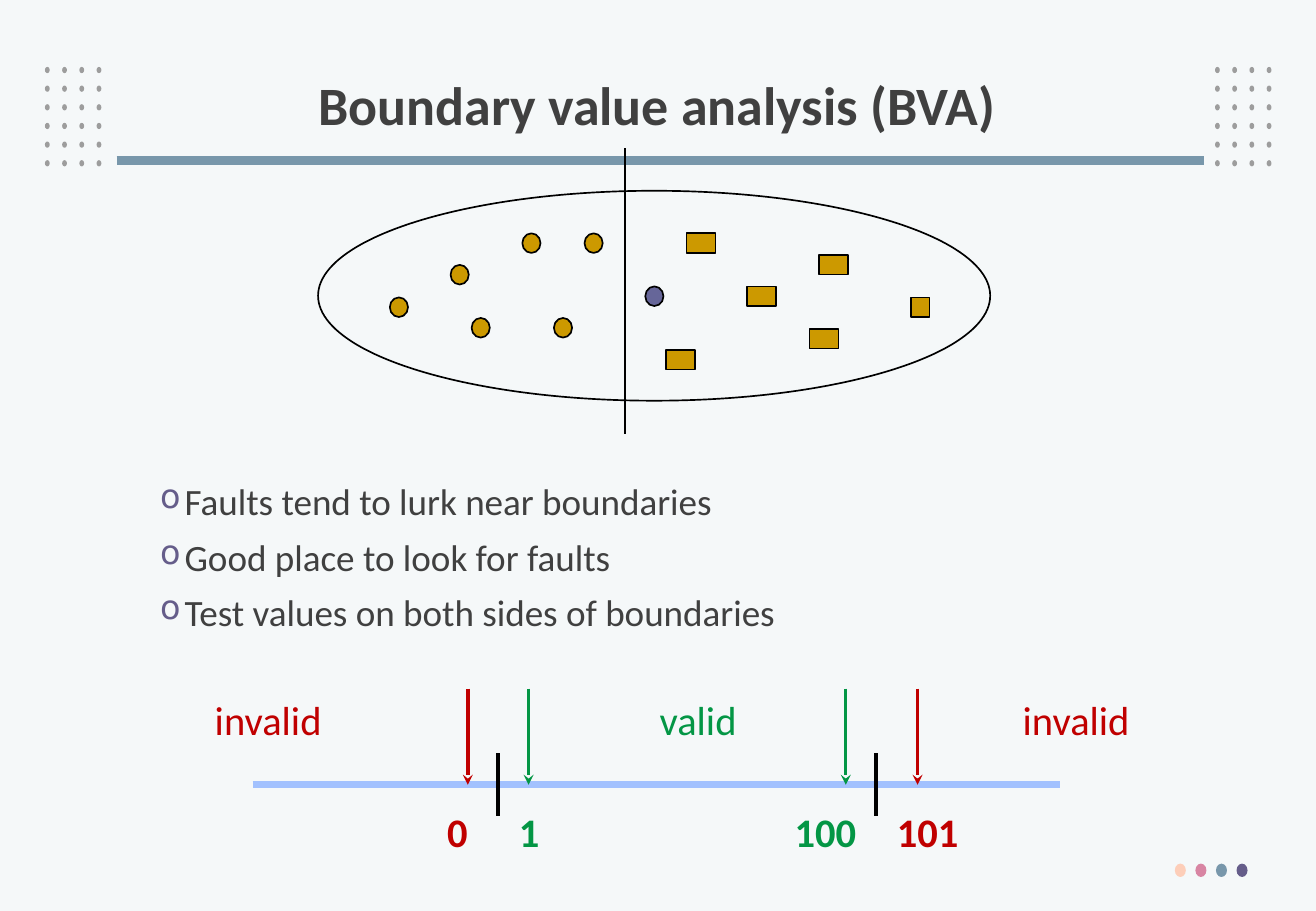
from pptx import Presentation
from pptx.dml.color import RGBColor
from pptx.enum.shapes import MSO_CONNECTOR, MSO_SHAPE
from pptx.enum.text import MSO_ANCHOR, MSO_AUTO_SIZE, PP_ALIGN
from pptx.oxml.ns import qn
from pptx.util import Cm, Pt
from lxml.etree import SubElement

COLORS = {
    "paper": "F5F8F9", "text": "404040", "black": "000000", "dot": "9D9D9D",
    "peach": "FDCEB9", "pink": "D885A3", "steel": "7897AB", "plum": "655D8A",
    "gold": "CC9900", "violet": "666699", "axis": "A2C1FE",
    "green": "039645", "red": "C00000",
}


def color(name):
    return RGBColor.from_string(COLORS[name])


class Board:
    """Holds the font and the slide being drawn; all lengths are in cm."""

    def __init__(self, slide, font="Calibri"):
        self.slide = slide
        self.font = font
        fill = slide.background.fill
        fill.solid()
        fill.fore_color.rgb = color("paper")

    def style(self, para, size, tint, bold=False):
        para.font.name = self.font
        para.font.size = Pt(size)
        para.font.bold = bold
        para.font.color.rgb = color(tint)

    def title(self, text, left, top, width, height):
        shape = self.slide.shapes.title
        shape.left, shape.top = Cm(left), Cm(top)
        shape.width, shape.height = Cm(width), Cm(height)
        frame = shape.text_frame
        frame.text = text
        frame.auto_size = MSO_AUTO_SIZE.NONE
        frame.vertical_anchor = MSO_ANCHOR.MIDDLE
        para = frame.paragraphs[0]
        para.alignment = PP_ALIGN.CENTER
        para.line_spacing = 0.9
        self.style(para, 32, "text", True)

    def shape(self, kind, left, top, width, height, fill=None, line=None):
        shape = self.slide.shapes.add_shape(
            kind, Cm(left), Cm(top), Cm(width), Cm(height))
        shape.shadow.inherit = False
        if fill:
            shape.fill.solid()
            shape.fill.fore_color.rgb = color(fill)
        else:
            shape.fill.background()
        if line:
            shape.line.color.rgb = color(line)
            shape.line.width = Pt(1)
        else:
            shape.line.fill.background()

    def line(self, x1, y1, x2, y2, tint, width, arrow=False):
        line = self.slide.shapes.add_connector(
            MSO_CONNECTOR.STRAIGHT, Cm(x1), Cm(y1), Cm(x2), Cm(y2))
        line.line.color.rgb = color(tint)
        line.line.width = Pt(width)
        if arrow:
            SubElement(line.line._get_or_add_ln(), qn("a:tailEnd"), type="stealth")
        SubElement(line._element.spPr, qn("a:effectLst"))

    def label(self, text, left, top, width, height, tint, bold=False):
        frame = self.slide.shapes.add_textbox(
            Cm(left), Cm(top), Cm(width), Cm(height)).text_frame
        frame.word_wrap = False
        frame.text = text
        para = frame.paragraphs[0]
        self.style(para, 24, tint, bold)
        if bold:
            frame.margin_left = frame.margin_right = Cm(0.18)
            frame.margin_top = frame.margin_bottom = Cm(0.08)
            para.line_spacing = 0.9

    def bullets(self, items, left, top, width, height):
        frame = self.slide.shapes.add_textbox(
            Cm(left), Cm(top), Cm(width), Cm(height)).text_frame
        frame.word_wrap = True
        frame.text = "\n".join(items)
        for para in frame.paragraphs:
            self.style(para, 22, "text")
            para.line_spacing = 1.1
            para.space_before = Pt(4.1)
            props = para._p.get_or_add_pPr()
            props.set("marL", str(Cm(1.55)))
            props.set("indent", str(Cm(-0.51)))
            tint = SubElement(props, qn("a:buClr"))
            SubElement(tint, qn("a:srgbClr"), val=COLORS["plum"])
            SubElement(props, qn("a:buSzPct"), val="90000")
            SubElement(props, qn("a:buChar"), char="o")
            # The schema wants run defaults after the bullet settings.
            props.append(props.find(qn("a:defRPr")))


def add_frame(board):
    """Draw the corner dots, the title rule and the footer dots."""
    for left in (0.94, 25.4):
        for row in range(6):
            for col in range(4):
                board.shape(MSO_SHAPE.OVAL, left + col * 0.36,
                            1.4 + row * 0.39, 0.1, 0.13, "dot")
    board.line(2.44, 3.35, 25.17, 3.35, "steel", 5.25)
    for i, tint in enumerate(("peach", "pink", "steel", "plum")):
        board.shape(MSO_SHAPE.OVAL, 24.56 + i * 0.43, 18.06, 0.23, 0.28, tint)


def add_domain(board):
    """Draw the input domain, split in two by a boundary."""
    board.shape(MSO_SHAPE.OVAL, 6.65, 3.99, 14.05, 4.39, line="black")
    rounds = [(10.92, 4.88), (8.15, 6.22), (12.22, 4.88), (9.86, 6.65),
              (9.42, 5.54), (11.58, 6.65)]
    for x, y in rounds:
        board.shape(MSO_SHAPE.OVAL, x, y, 0.38, 0.41, "gold", "black")
    board.shape(MSO_SHAPE.OVAL, 13.49, 5.99, 0.38, 0.41, "violet", "black")
    board.line(13.06, 3.1, 13.06, 9.07, "black", 1)
    boxes = [(19.05, 6.22, 0.38), (14.35, 4.88, 0.61), (15.62, 5.99, 0.61),
             (13.92, 7.32, 0.61), (16.92, 6.88, 0.61), (17.12, 5.33, 0.61)]
    for x, y, width in boxes:
        board.shape(MSO_SHAPE.RECTANGLE, x, y, width, 0.41, "gold", "black")


def add_scale(board):
    """Draw the number line with its limits and test values."""
    axis = 16.41
    board.line(5.28, axis, 22.15, axis, "axis", 4)
    for x in (10.41, 18.31):
        board.line(x, axis - 0.66, x, axis + 0.66, "black", 2)
    values = [("0", 9.17, 0.79, 9.78, "red"), ("1", 10.67, 0.79, 11.05, "green"),
              ("100", 16.43, 1.65, 17.68, "green"),
              ("101", 18.57, 1.65, 19.18, "red")]
    for text, left, width, x, tint in values:
        board.label(text, left, 16.92, width, 1.07, tint, True)
        board.line(x, 14.4, x, axis, tint, 2, True)
    zones = [("invalid", 4.24, 2.79, "red"), ("valid", 13.54, 2.16, "green"),
             ("invalid", 21.13, 2.79, "red")]
    for text, left, width, tint in zones:
        board.label(text, left, 14.4, width, 1.3, tint)


def main():
    deck = Presentation()
    deck.slide_width, deck.slide_height = Cm(27.51), Cm(19.05)
    board = Board(deck.slides.add_slide(deck.slide_layouts[5]))
    add_frame(board)
    board.title("Boundary value analysis (BVA)", 1.88, 1.02, 23.72, 2.49)
    board.bullets(["Faults tend to lurk near boundaries",
                   "Good place to look for faults",
                   "Test values on both sides of boundaries"],
                  2.06, 9.78, 23.39, 4.75)
    add_domain(board)
    add_scale(board)
    deck.save("out.pptx")


if __name__ == "__main__":
    main()
